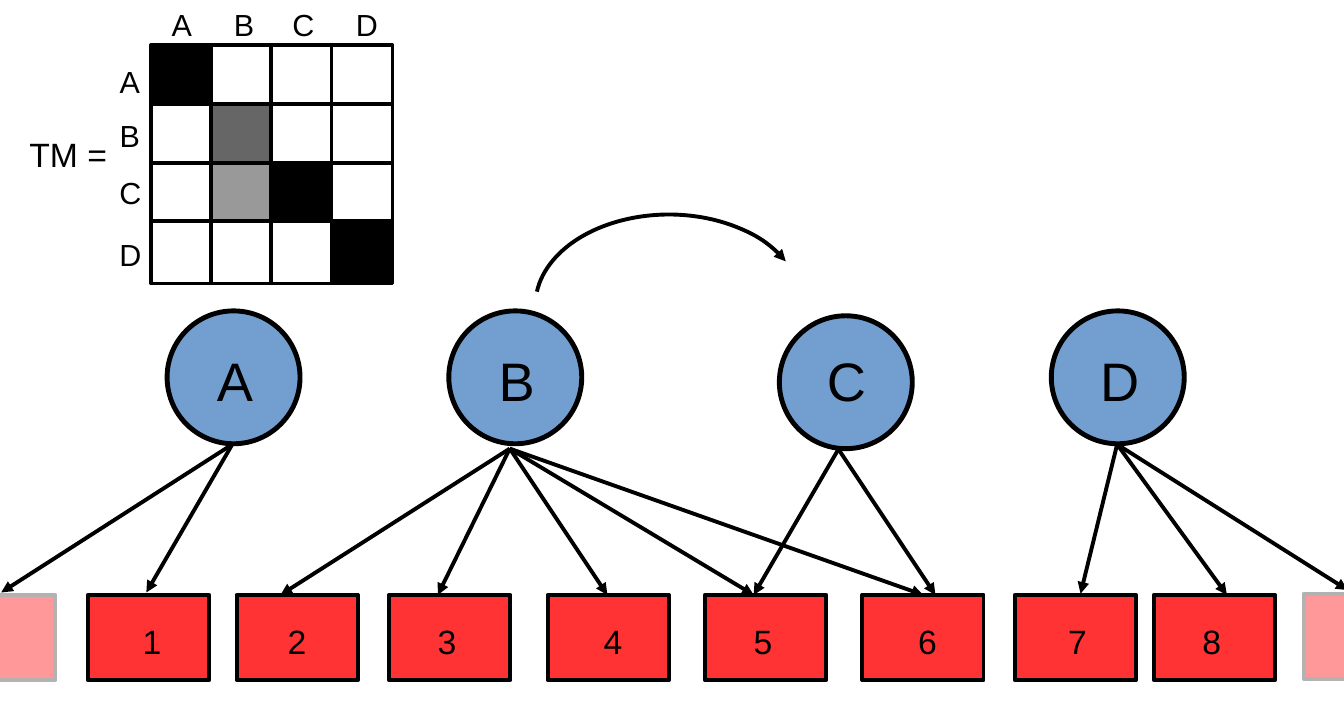
from collections import namedtuple

from lxml.etree import SubElement
from pptx import Presentation
from pptx.dml.color import RGBColor
from pptx.enum.shapes import MSO_CONNECTOR, MSO_SHAPE
from pptx.enum.text import PP_ALIGN
from pptx.oxml.ns import qn
from pptx.util import Inches, Pt

Box = namedtuple("Box", "left top width height")
State = namedtuple("State", "letter left drop label_left label_width root tips")

CELL = Inches(0.01)
COLUMNS, ROWS = 1102, 575
FONT = "Arial"
COLORS = {
    "ink": "000000", "paper": "FFFFFF", "state": "729FCF",
    "output": "FF3333", "faded": "FF9999", "faded_line": "B2B2B2",
    "strong": "666666", "weak": "999999",
}
THIN, THICK = 2.3, 2.89

MATRIX = [
    ["ink", "paper", "paper", "paper"],
    ["paper", "strong", "paper", "paper"],
    ["paper", "weak", "ink", "paper"],
    ["paper", "paper", "paper", "ink"],
]
COLUMN_LABELS = [("A", 118), ("B", 169), ("C", 217), ("D", 269)]
ROW_LABELS = [("A", 47), ("B", 91), ("C", 138), ("D", 189)]
STATES = [
    State("A", 137, 0, 168, 49, (190.5, 109.5), [(1, 231), (120, 231)]),
    State("B", 368, 0, 399, 49, (418, 113),
          [(230, 233), (359, 233), (498, 233), (618, 233), (757, 233)]),
    State("C", 639, 4, 668, 52, (687.5, 113.5), [(618, 233), (767, 233)]),
    State("D", 862, 0, 892, 52, (916, 109.5),
          [(886, 232), (1006, 233), (1105, 229)]),
]
OUTPUTS = [("1", 72, 107), ("2", 194, 226), ("3", 319, 349), ("4", 449, 485),
           ("5", 578, 608), ("6", 707, 743), ("7", 832, 866), ("8", 946, 976)]
CUT_OFF_OUTPUTS = [(-54, 0), (1069, -1)]


def color(name):
    """Return the named colour."""
    return RGBColor.from_string(COLORS[name])


def place(box, left, top, width, height):
    """Turn grid cells counted from a box's corner into slide lengths."""
    cells = (box.left + left, box.top + top, width, height)
    return [round(count * CELL) for count in cells]


def add_outlined(shapes, preset, bounds, fill, line="ink", weight=THIN):
    """Add a filled, outlined shape; a fill of None leaves it open."""
    outlined = shapes.add_shape(preset, *bounds)
    outlined.shadow.inherit = False
    if fill:
        outlined.fill.solid()
        outlined.fill.fore_color.rgb = color(fill)
    else:
        outlined.fill.background()
    outlined.line.color.rgb = color(line)
    outlined.line.width = Pt(weight)
    return outlined


def add_label(shapes, bounds, wording, size):
    """Add a one-line centred label."""
    frame = shapes.add_textbox(*bounds).text_frame
    frame.word_wrap = False
    paragraph = frame.paragraphs[0]
    paragraph.text = wording
    paragraph.alignment = PP_ALIGN.CENTER
    paragraph.font.name = FONT
    paragraph.font.size = Pt(size)
    paragraph.font.color.rgb = color("ink")


def add_arrowhead(stroke):
    """Put a triangle at the far end of a line."""
    outline = stroke.element.spPr.find(qn("a:ln"))
    SubElement(outline, qn("a:tailEnd"), type="triangle")


def add_arrow(shapes, box, root, tip):
    """Draw a straight arrow between two points of a box."""
    start_x, start_y, end_x, end_y = place(box, *root, 0, 0)[:2] + place(box, *tip, 0, 0)[:2]
    arrow = shapes.add_connector(MSO_CONNECTOR.STRAIGHT, start_x, start_y, end_x, end_y)
    arrow.line.color.rgb = color("ink")
    arrow.line.width = Pt(THIN)
    add_arrowhead(arrow)
    SubElement(arrow.element.spPr, qn("a:effectLst"))


def draw_matrix(slide, box):
    """Draw the transition matrix with its row and column letters."""
    shapes = slide.shapes.add_group_shape().shapes
    column_step, row_step = 49.3, 48.2
    for row, fills in enumerate(MATRIX):
        for column, fill in enumerate(fills):
            bounds = place(box, 111 + column * column_step, 37 + row * row_step, 50, 51)
            add_outlined(shapes, MSO_SHAPE.RECTANGLE, bounds, fill)
    add_label(shapes, place(box, 0, 105, 86, 45), "TM =", 19.9)
    for letter, left in COLUMN_LABELS:
        add_label(shapes, place(box, left, 0, 36, 41), letter, 18)
    for letter, top in ROW_LABELS:
        add_label(shapes, place(box, 75, top, 37, 41), letter, 18)


def draw_outputs(slide, box):
    """Draw the numbered outputs and those cut off by the slide's edges."""
    for number, left, label_left in OUTPUTS:
        add_outlined(slide.shapes, MSO_SHAPE.RECTANGLE,
                     place(box, left, 0, 99.5, box.height), "output")
        add_label(slide.shapes, place(box, label_left, 16, 35, 48), number, 19.9)
    for left, drop in CUT_OFF_OUTPUTS:
        add_outlined(slide.shapes, MSO_SHAPE.RECTANGLE,
                     place(box, left, drop, 99.5, box.height), "faded", "faded_line")


def draw_states(slide, box):
    """Draw the state circles and the arrows to their outputs."""
    for state in STATES:
        add_outlined(slide.shapes, MSO_SHAPE.OVAL,
                     place(box, state.left, state.drop, 109, 109), "state", weight=THICK)
        add_label(slide.shapes, place(box, state.label_left, 25, state.label_width, 69),
                  state.letter, 32)
        for tip in state.tips:
            add_arrow(slide.shapes, box, state.root, tip)


def draw_transition(slide, box):
    """Draw the curved arrow from state B to state C."""
    arc = add_outlined(slide.shapes, MSO_SHAPE.ARC,
                       place(box, 0, 0, box.width, box.height), None)
    arc.adjustments[0], arc.adjustments[1] = 111.56, 203.61
    add_arrowhead(arc)


def main():
    """Build the slide and save it."""
    presentation = Presentation()
    presentation.slide_width = COLUMNS * CELL
    presentation.slide_height = ROWS * CELL
    slide = presentation.slides.add_slide(presentation.slide_layouts[6])
    draw_outputs(slide, Box(0, 488, COLUMNS, 70))
    draw_states(slide, Box(0, 255, COLUMNS, 233))
    draw_transition(slide, Box(439, 176, 219, 149))
    draw_matrix(slide, Box(13, 0, 309, 232))
    presentation.save("out.pptx")


if __name__ == "__main__":
    main()
